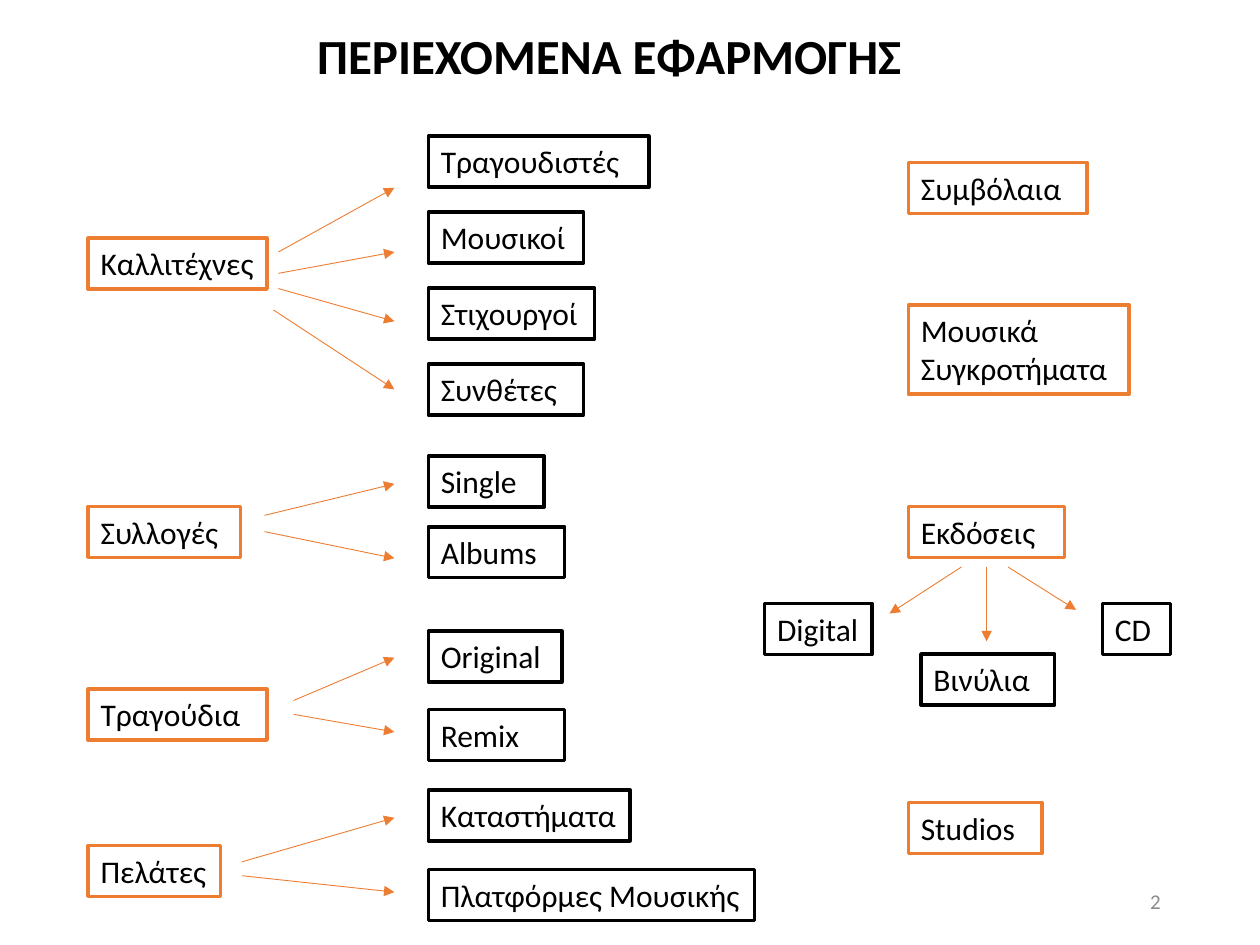
from dataclasses import dataclass

from lxml.etree import SubElement
from pptx import Presentation
from pptx.dml.color import RGBColor as RGB
from pptx.enum.shapes import MSO_CONNECTOR as Conn, MSO_SHAPE as Shape
from pptx.enum.text import MSO_ANCHOR as Anchor, MSO_AUTO_SIZE as Fit, PP_ALIGN as Align
from pptx.oxml.ns import qn
from pptx.util import Pt


@dataclass(frozen=True)
class Theme:
    font: str = "Calibri"
    ink: RGB = RGB(0x00, 0x00, 0x00)
    accent: RGB = RGB(0xED, 0x7D, 0x31)
    muted: RGB = RGB(0x8C, 0x8C, 0x8C)
    title: float = 28
    body: float = 18
    number: float = 12
    border: float = 2
    arrow: float = 0.5


@dataclass(frozen=True)
class Box:
    text: str
    x: float
    y: float
    w: float
    h: float = 29.1


@dataclass(frozen=True)
class Arrow:
    x1: float
    y1: float
    x2: float
    y2: float


@dataclass(frozen=True)
class Branch:
    parent: Box
    children: tuple[Box, ...]
    arrows: tuple[Arrow, ...]


T = Theme()
LEFT, MIDDLE, RIGHT, TIP = 50.4, 244.8, 519.1, 225.4
ROLE_TOP, ROLE_STEP = 77.8, 43.4
ROLES = [("Τραγουδιστές", 126), ("Μουσικοί", 88.6),
         ("Στιχουργοί", 95), ("Συνθέτες", 88.6)]

BRANCHES = [
    Branch(Box("Καλλιτέχνες", LEFT, 136.1, 102.2),
           tuple(Box(text, MIDDLE, ROLE_TOP + i * ROLE_STEP, w)
                 for i, (text, w) in enumerate(ROLES)),
           (Arrow(159.1, 144, TIP, 107.3), Arrow(159.1, 156.2, TIP, 144),
            Arrow(159.1, 164.9, TIP, 183.6), Arrow(156.2, 177.1, TIP, 222.5))),
    Branch(Box("Συλλογές", LEFT, 289.4, 87.1),
           (Box("Single", MIDDLE, 260.6, 66.2), Box("Albums", MIDDLE, 301, 77.8)),
           (Arrow(151.2, 294.5, TIP, 276.5), Arrow(151.2, 303.8, TIP, 319))),
    Branch(Box("Τραγούδια", LEFT, 393.8, 102.2),
           (Box("Original", MIDDLE, 360.7, 76.3), Box("Remix", MIDDLE, 405.4, 77.8)),
           (Arrow(167.8, 400.3, TIP, 375.8), Arrow(167.8, 408.2, TIP, 418.3))),
    Branch(Box("Πελάτες", LEFT, 483.1, 75.6),
           (Box("Καταστήματα", MIDDLE, 451.4, 115.2),
            Box("Πλατφόρμες Μουσικής", MIDDLE, 496.8, 186.5)),
           (Arrow(138.2, 492.5, TIP, 467.3), Arrow(138.2, 500.4, TIP, 509.8))),
    Branch(Box("Συμβόλαια", RIGHT, 92.9, 102.2), (), ()),
    Branch(Box("Μουσικά Συγκροτήματα", RIGHT, 174.2, 126, 51.1), (), ()),
    Branch(Box("Εκδόσεις", RIGHT, 289.4, 89.3),
           (Box("Digital", 437, 344.9, 61.2), Box("Βινύλια", 526.3, 373.7, 76.3),
            Box("CD", 630, 344.9, 38.9)),
           (Arrow(549.4, 324, 508.3, 350.6), Arrow(563.8, 324, 563.8, 366.5),
            Arrow(576, 324, 614.9, 348.5))),
    Branch(Box("Studios", RIGHT, 458.6, 76.3), (), ()),
]


def set_all(target, values: dict) -> None:
    for name, value in values.items():
        setattr(target, name, value)


def write(sp, text: str, size: float, color: RGB, frame: dict,
          align: Align = Align.LEFT, bold: bool = False) -> None:
    tf = sp.text_frame
    set_all(tf, frame)
    p = tf.paragraphs[0]
    p.alignment = align
    r = p.add_run()
    r.text = text
    set_all(r.font, {"name": T.font, "size": Pt(size), "bold": bold})
    r.font.color.rgb = color


def add_box(s, box: Box, border: RGB) -> None:
    sp = s.shapes.add_shape(Shape.RECTANGLE, Pt(box.x), Pt(box.y), Pt(box.w), Pt(box.h))
    sp.shadow.inherit = False
    sp.fill.background()
    sp.line.color.rgb = border
    sp.line.width = Pt(T.border)
    write(sp, box.text, T.body, T.ink,
          {"word_wrap": True, "auto_size": Fit.SHAPE_TO_FIT_TEXT,
           "vertical_anchor": Anchor.TOP})


def add_arrow(s, a: Arrow) -> None:
    c = s.shapes.add_connector(Conn.STRAIGHT, Pt(a.x1), Pt(a.y1), Pt(a.x2), Pt(a.y2))
    c.line.color.rgb = T.accent
    c.line.width = Pt(T.arrow)
    SubElement(c.line._get_or_add_ln(), qn("a:tailEnd"), type="triangle")
    SubElement(c._element.spPr, qn("a:effectLst"))


def add_label(s, box: Box, size: float, color: RGB, frame: dict, **style) -> None:
    sp = s.shapes.add_textbox(Pt(box.x), Pt(box.y), Pt(box.w), Pt(box.h))
    write(sp, box.text, size, color, frame, **style)


def main() -> None:
    prs = Presentation()
    set_all(prs, {"slide_width": Pt(720), "slide_height": Pt(540)})
    s = prs.slides.add_slide(prs.slide_layouts[6])
    add_label(s, Box("ΠΕΡΙΕΧΟΜΕΝΑ ΕΦΑΡΜΟΓΗΣ", 174.2, 10.8, 352.1, 41.2), T.title, T.ink,
              {"word_wrap": False, "auto_size": Fit.SHAPE_TO_FIT_TEXT}, bold=True)
    for branch in BRANCHES:
        add_box(s, branch.parent, T.accent)
        for child in branch.children:
            add_box(s, child, T.ink)
        for arrow in branch.arrows:
            add_arrow(s, arrow)
    add_label(s, Box("2", 508.3, 500.4, 162, 28.8), T.number, T.muted,
              {"word_wrap": True, "vertical_anchor": Anchor.MIDDLE}, align=Align.RIGHT)
    prs.save("out.pptx")


if __name__ == "__main__":
    main()
